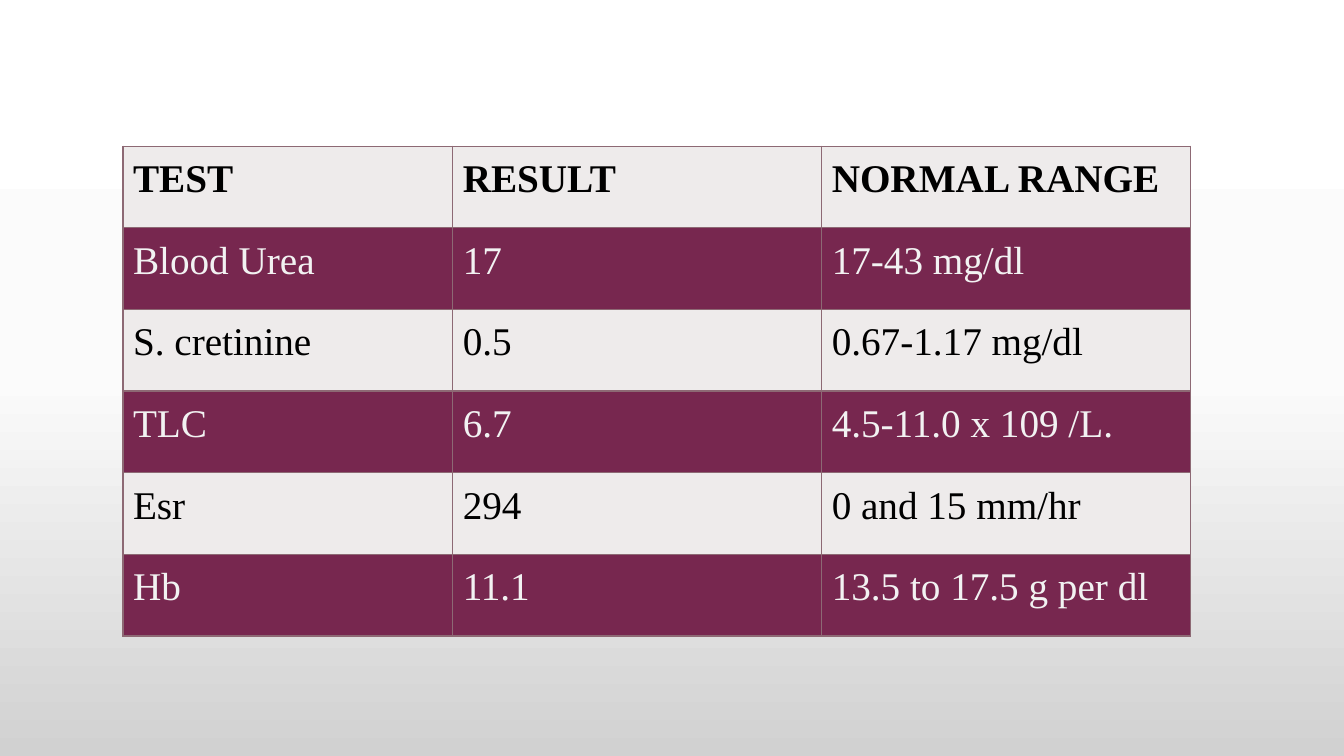
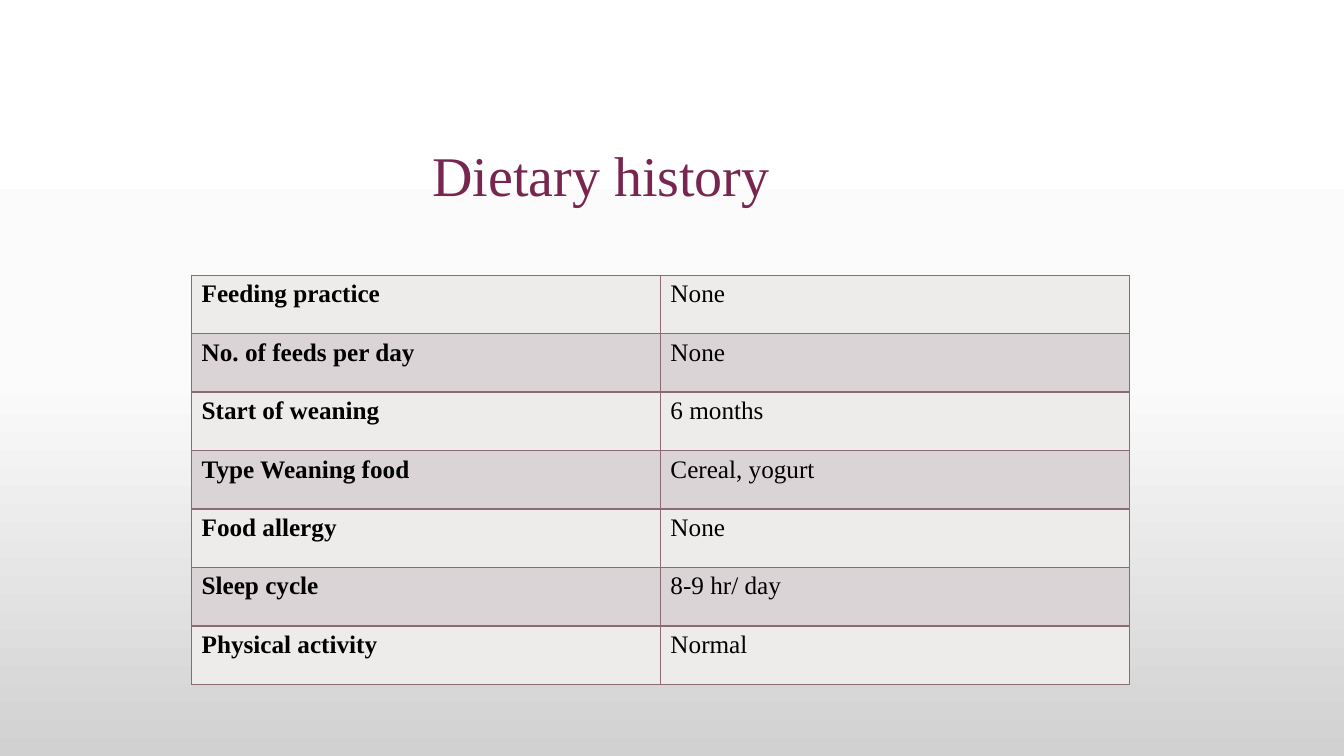
from copy import deepcopy

from lxml import etree
from pptx import Presentation
from pptx.dml.color import RGBColor as RGB
from pptx.enum.text import MSO_AUTO_SIZE as AutoSize
from pptx.oxml.ns import qn
from pptx.util import Inches, Pt

# Shared look
FONT = "Times New Roman"
COLORS = {
    "plum": "77274F", "border": "8D6974", "pale": "EEEBEB", "mauve": "DBD4D6",
    "black": "000000", "off_white": "F2F2F2",
}
BACKDROP = [(0, "FFFFFF"), (0.5, "FBFBFB"), (1, "D1D1D1")]

# Content
LAB_RESULTS = [
    ("TEST", "RESULT", "NORMAL RANGE"),
    ("Blood Urea", "17", "17-43 mg/dl"),
    ("S. cretinine", "0.5", "0.67-1.17 mg/dl"),
    ("TLC", "6.7", "4.5-11.0 x 109 /L."),
    ("Esr", "294", "0 and 15 mm/hr"),
    ("Hb", "11.1", "13.5 to 17.5 g per dl"),
]
DIETARY_HISTORY = [
    ("Feeding practice", "None"),
    ("No. of feeds per day", "None"),
    ("Start of weaning", "6 months"),
    ("Type Weaning food", "Cereal, yogurt"),
    ("Food allergy", "None"),
    ("Sleep cycle", "8-9 hr/ day"),
    ("Physical activity", "Normal"),
]


def set_backdrop(master):
    """Give the master a three-stop gradient running top to bottom."""
    fill = master.background.fill
    fill.gradient()
    fill.gradient_angle = 270
    stop_list = next(master.element.iter(qn("a:gsLst")))
    stop_list.insert(1, deepcopy(stop_list[0]))
    for stop, (position, color) in zip(fill.gradient_stops, BACKDROP):
        stop.position = position
        stop.color.rgb = RGB.from_string(color)


def write(frame, text, size, color="black", bold=False, line_spacing=None, after=None):
    paragraph = frame.paragraphs[0]
    paragraph.line_spacing = line_spacing
    paragraph.space_after = after
    run = paragraph.add_run()
    run.text = text
    run.font.name = FONT
    run.font.size = Pt(size)
    run.font.bold = bold
    run.font.color.rgb = RGB.from_string(COLORS[color])


def add_borders(cell):
    properties = cell._tc.get_or_add_tcPr()
    for side in ("lnL", "lnR", "lnT", "lnB"):
        line = etree.SubElement(properties, qn(f"a:{side}"), w=str(Pt(1)))
        solid = etree.SubElement(line, qn("a:solidFill"))
        etree.SubElement(solid, qn("a:srgbClr"), val=COLORS["border"])


def add_grid(slide, rows, left, top, widths, row_height, bands, is_bold, **text_format):
    """Add a table whose rows alternate between (fill, text colour) bands."""
    table = slide.shapes.add_table(
        len(rows), len(widths), Inches(left), Inches(top),
        Inches(sum(widths)), Inches(row_height * len(rows))).table
    table.first_row = table.horz_banding = False
    for column, width in zip(table.columns, widths):
        column.width = Inches(width)
    for r, values in enumerate(rows):
        table.rows[r].height = Inches(row_height)
        band_fill, text_color = bands[r % len(bands)]
        for c, value in enumerate(values):
            cell = table.cell(r, c)
            add_borders(cell)
            cell.fill.solid()
            cell.fill.fore_color.rgb = RGB.from_string(COLORS[band_fill])
            write(cell.text_frame, value, color=text_color, bold=is_bold(r, c),
                  **text_format)


def add_title(slide, text, left, top, width, height):
    frame = slide.shapes.add_textbox(
        Inches(left), Inches(top), Inches(width), Inches(height)).text_frame
    frame.word_wrap = True
    frame.auto_size = AutoSize.SHAPE_TO_FIT_TEXT
    write(frame, text, size=40, color="plum")


def main():
    prs = Presentation()
    prs.slide_width, prs.slide_height = Inches(13.33), Inches(7.5)
    set_backdrop(prs.slide_master)
    blank = prs.slide_layouts[6]

    # Laboratory results: bold header row
    lab_slide = prs.slides.add_slide(blank)
    add_grid(lab_slide, LAB_RESULTS, 1.22, 1.45, [3.27, 3.66, 3.66], 0.81,
             bands=[("pale", "black"), ("plum", "off_white")],
             is_bold=lambda r, c: r == 0,
             size=28, line_spacing=1.15, after=Pt(10))

    # Dietary history: bold first column
    diet_slide = prs.slides.add_slide(blank)
    add_grid(diet_slide, DIETARY_HISTORY, 1.9, 2.73, [4.65, 4.65], 0.58,
             bands=[("pale", "black"), ("mauve", "black")],
             is_bold=lambda r, c: c == 0, size=18)
    add_title(diet_slide, "Dietary history", 4.19, 1.34, 4.32, 0.77)

    prs.save("out.pptx")


if __name__ == "__main__":
    main()
